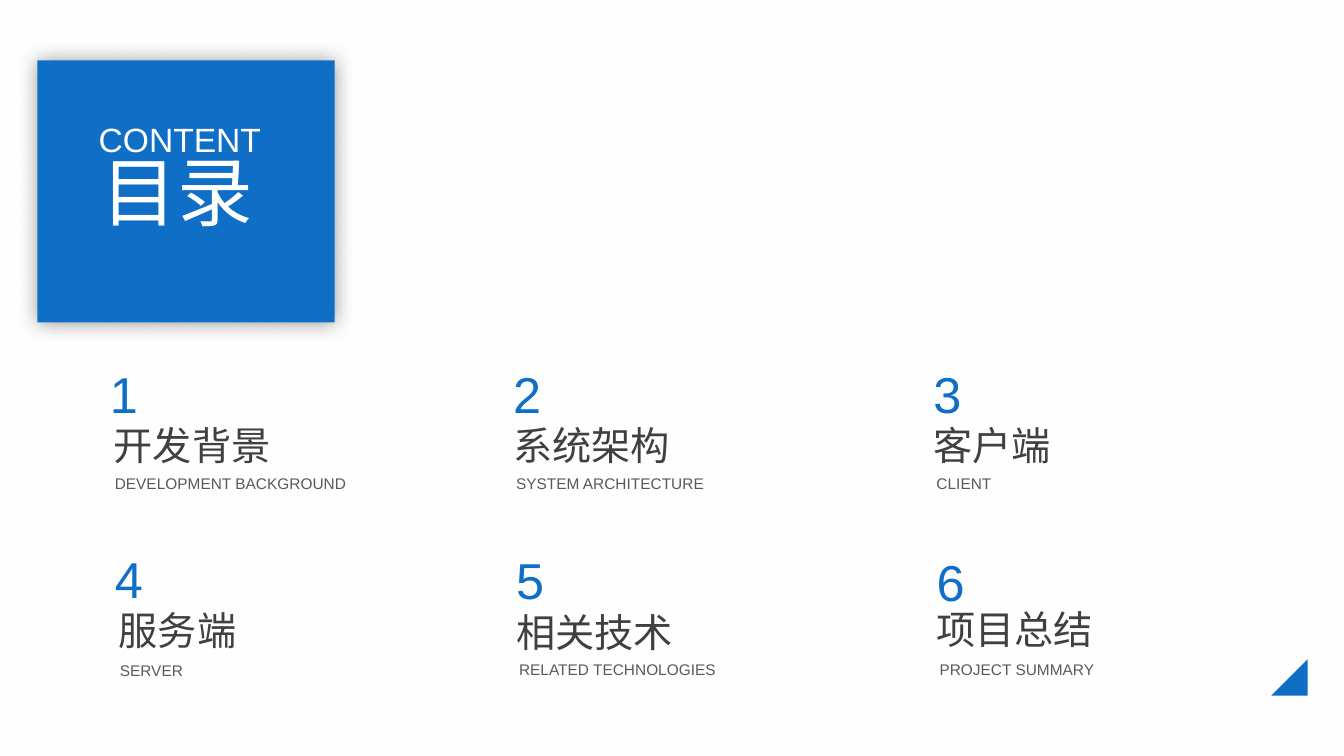
from lxml.etree import SubElement
from pptx import Presentation
from pptx.dml.color import RGBColor
from pptx.enum.dml import MSO_PATTERN
from pptx.enum.shapes import MSO_SHAPE
from pptx.enum.text import MSO_ANCHOR, MSO_AUTO_SIZE, PP_ALIGN
from pptx.oxml import parse_xml
from pptx.oxml.ns import nsdecls, qn
from pptx.util import Inches, Pt

COLORS = {"blue": "0F6FC6", "white": "FFFFFF", "pale": "DBEFF9",
          "heading": "404040", "caption": "595959"}
FORMATS = {
    "title": {"size": Pt(54), "color": "white"},
    "label": {"size": Pt(24), "color": "white"},
    "number": {"size": Pt(36), "color": "blue"},
    "heading": {"size": Pt(28), "color": "heading"},
    "caption": {"size": Pt(11), "color": "caption"},
}
SECTIONS = [
    ("开发背景", "DEVELOPMENT BACKGROUND", 0.99, 3.55, 4.13, 4.65),
    ("系统架构", "SYSTEM ARCHITECTURE", 4.99, 3.55, 4.13, 4.65),
    ("客户端", "CLIENT", 9.16, 3.55, 4.13, 4.65),
    ("服务端", "SERVER", 1.04, 5.39, 5.97, 6.51),
    ("相关技术", "RELATED TECHNOLOGIES", 5.02, 5.4, 5.99, 6.5),
    ("项目总结", "PROJECT SUMMARY", 9.19, 5.42, 5.96, 6.5),
]


def rgb(name):
    """Return the named colour."""
    return RGBColor.from_string(COLORS[name])


def place(s, x, y, w, h):
    """Move and size a shape in inches."""
    s.left, s.top, s.width, s.height = map(Inches, (x, y, w, h))


def write(s, text, style, wrap=False, align=PP_ALIGN.LEFT):
    """Put one formatted paragraph into a shape."""
    tf = s.text_frame
    frame = {"word_wrap": wrap, "auto_size": MSO_AUTO_SIZE.SHAPE_TO_FIT_TEXT,
             "vertical_anchor": MSO_ANCHOR.TOP}
    for key, value in frame.items():
        setattr(tf, key, value)
    p = tf.paragraphs[0]
    p.alignment = align
    r = p.add_run()
    r.text = text
    font = {"name": "Arial", "size": FORMATS[style]["size"]}
    for key, value in font.items():
        setattr(r.font, key, value)
    r.font.color.rgb = rgb(FORMATS[style]["color"])


def add_text(slide, text, style, box, **options):
    """Add a text box."""
    write(slide.shapes.add_textbox(*map(Inches, box)), text, style, **options)


def add_block(slide, kind, box, color="blue"):
    """Add a filled shape without outline or shadow."""
    s = slide.shapes.add_shape(kind, *map(Inches, box))
    s.shadow.inherit = False
    s.fill.solid()
    s.fill.fore_color.rgb = rgb(color)
    s.line.fill.background()
    return s


def add_glow(s):
    """Give a shape a soft centred shadow."""
    effects = s.element.spPr.find(qn("a:effectLst"))
    effects.append(parse_xml(
        f'<a:outerShdw {nsdecls("a")} blurRad="{Pt(15)}" dist="0" algn="ctr" rotWithShape="0">'
        '<a:srgbClr val="000000"><a:alpha val="40000"/></a:srgbClr></a:outerShdw>'))


def add_backdrop(slide):
    """Set a fine dot pattern under a white veil."""
    fill = slide.background.fill
    fill.patterned()
    fill.pattern = MSO_PATTERN.PERCENT_20
    fill.fore_color.rgb = rgb("pale")
    fill.back_color.rgb = rgb("white")
    veil = add_block(slide, MSO_SHAPE.RECTANGLE, (0, 0, 13.33, 7.5), "white")
    veil.fill.gradient()
    veil.fill.gradient_angle = 270
    for stop in veil.fill.gradient_stops:
        stop.color.rgb = rgb("white")
    first = veil.element.spPr.find(".//" + qn("a:srgbClr"))
    SubElement(first, qn("a:alpha")).set("val", "85000")


def add_title(slide):
    """Place the title above its blue square."""
    add_glow(add_block(slide, MSO_SHAPE.RECTANGLE, (0.37, 0.6, 2.95, 2.6)))
    title = slide.shapes.title
    place(title, 0.91, 1.39, 1.72, 1.01)
    write(title, "目录", "title")
    slide.shapes.element.append(title.element)
    add_text(slide, "CONTENT", "label", (0.88, 1.13, 1.83, 0.5))


def add_section(slide, number, heading, caption, x, number_y, heading_y, caption_y):
    """Add the number, heading and caption of one section."""
    indent = 0.04 if number % 3 == 1 else 0
    heading_w = 0.2 + 0.39 * len(heading)
    add_text(slide, str(number), "number", (x, number_y, 0.31, 0.71), wrap=True)
    add_text(slide, heading, "heading", (x + indent, heading_y, heading_w, 0.57))
    add_text(slide, caption, "caption", (x + (0.05 if indent else 0.03), caption_y, 2.94, 0.29),
             wrap=True, align=PP_ALIGN.JUSTIFY)


def main():
    """Build the contents slide."""
    prs = Presentation()
    prs.slide_width, prs.slide_height = Inches(13.33), Inches(7.5)
    slide = prs.slides.add_slide(prs.slide_layouts[5])
    add_backdrop(slide)
    add_title(slide)
    for number, section in enumerate(SECTIONS, 1):
        add_section(slide, number, *section)
    corner = add_block(slide, MSO_SHAPE.RIGHT_TRIANGLE, (12.61, 6.54, 0.36, 0.36))
    corner.rotation = 270
    prs.save("out.pptx")


if __name__ == "__main__":
    main()
